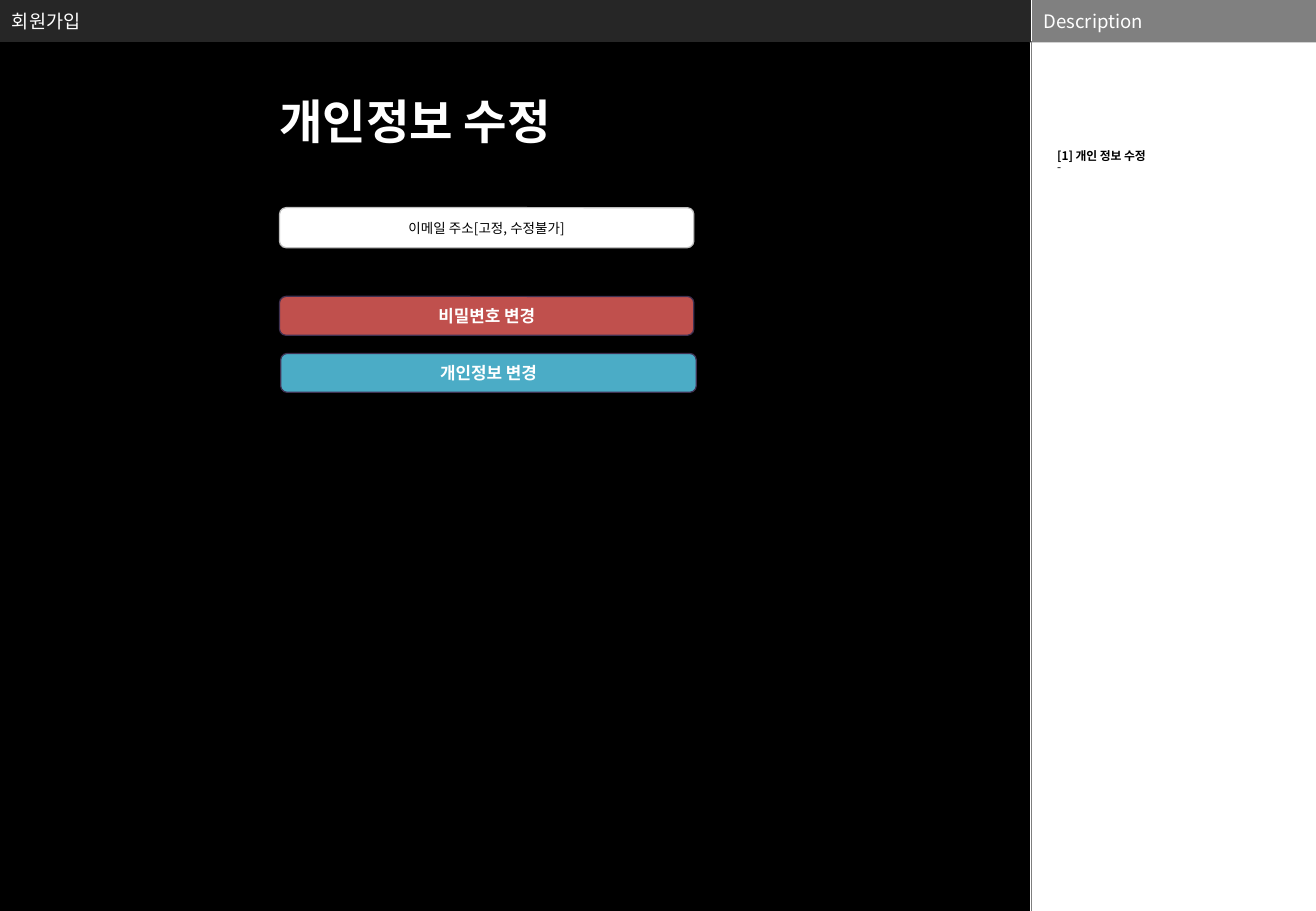
"""Builds the profile editing screen of a storyboard with its description column."""
from lxml.etree import SubElement
from pptx import Presentation
from pptx.dml.color import RGBColor
from pptx.enum.shapes import MSO_CONNECTOR, MSO_SHAPE
from pptx.enum.text import MSO_ANCHOR, PP_ALIGN
from pptx.oxml.ns import qn
from pptx.util import Inches, Pt

FONT = "Noto Sans CJK KR"
WHITE = RGBColor(0xFF, 0xFF, 0xFF)
BLACK = RGBColor(0x00, 0x00, 0x00)
CHARCOAL = RGBColor(0x26, 0x26, 0x26)
GRAY = RGBColor(0x80, 0x80, 0x80)
RULE_GRAY = RGBColor(0x7F, 0x7F, 0x7F)
FIELD_EDGE = RGBColor(0xBF, 0xBF, 0xBF)
PURPLE = RGBColor(0x40, 0x31, 0x52)
RED = RGBColor(0xC0, 0x50, 0x4D)
TEAL = RGBColor(0x4B, 0xAC, 0xC6)

WIDTH, HEIGHT = 10.83, 7.5
HEADER_H, SPLIT, SCREEN_W = 0.35, 8.49, 8.47
SIDE_W = WIDTH - SPLIT
TEXT_INSETS = (0.1, 0.05, 0.1, 0.05)

PANELS = [
    ((0, 0, SPLIT, HEADER_H), CHARCOAL, None),
    ((SPLIT, 0, SIDE_W, HEADER_H), GRAY, None),
    ((0, HEADER_H, SCREEN_W, HEIGHT - HEADER_H), BLACK, BLACK),
]
RULES = [(0, HEADER_H, WHITE), (0.34, HEIGHT, RULE_GRAY)]
HEADERS = [
    ((SPLIT, 0, SIDE_W, 0.34), "Description"),
    ((0, 0, 8.25, HEADER_H), "회원가입"),
]
TITLE = "개인정보 수정"
NOTES = [("[1] 개인 정보 수정", True), ("-", False)]
CONTROLS = [
    ((2.3, 1.71, 3.41, 0.33), "이메일 주소[고정, 수정불가]", WHITE, FIELD_EDGE, 8, BLACK, False),
    ((2.3, 2.44, 3.41, 0.32), "비밀변호 변경", RED, PURPLE, 10, WHITE, True),
    ((2.31, 2.91, 3.42, 0.32), "개인정보 변경", TEAL, PURPLE, 10, WHITE, True),
]


def add_panel(slide, kind, box, fill, edge):
    panel = slide.shapes.add_shape(kind, *map(Inches, box))
    panel.shadow.inherit = False
    panel.fill.solid()
    panel.fill.fore_color.rgb = fill
    if edge is None:
        panel.line.fill.background()
    else:
        panel.line.color.rgb = edge
        panel.line.width = Pt(0.75)
    return panel


def add_rule(slide, top, bottom, color):
    rule = slide.shapes.add_connector(
        MSO_CONNECTOR.STRAIGHT, *map(Inches, (SPLIT, top, SPLIT, bottom)))
    rule.line.color.rgb = color
    rule.line.width = Pt(0.25)
    SubElement(rule._element.spPr, qn("a:effectLst"))


def write(shape, lines, size, color, insets=TEXT_INSETS, anchor=MSO_ANCHOR.MIDDLE,
          align=PP_ALIGN.LEFT, wrap=True, spacing=None):
    frame = shape.text_frame
    frame.word_wrap = wrap
    frame.vertical_anchor = anchor
    (frame.margin_left, frame.margin_top,
     frame.margin_right, frame.margin_bottom) = map(Inches, insets)
    for index, (text, bold) in enumerate(lines):
        paragraph = frame.add_paragraph() if index else frame.paragraphs[0]
        paragraph.alignment = align
        if spacing:
            paragraph.line_spacing = spacing
        run = paragraph.add_run()
        run.text = text
        run.font.size = Pt(size)
        run.font.bold = bold
        run.font.color.rgb = color
        run.font.name = FONT
        SubElement(run.font._element, qn("a:ea"), typeface=FONT)


def add_text(slide, box, lines, size, color, **layout):
    write(slide.shapes.add_textbox(*map(Inches, box)), lines, size, color, **layout)


def main():
    deck = Presentation()
    deck.slide_width, deck.slide_height = Inches(WIDTH), Inches(HEIGHT)
    slide = deck.slides.add_slide(deck.slide_layouts[6])

    for box, fill, edge in PANELS:
        add_panel(slide, MSO_SHAPE.RECTANGLE, box, fill, edge)
    for top, bottom, color in RULES:
        add_rule(slide, top, bottom, color)
    for box, text in HEADERS:
        add_text(slide, box, [(text, False)], 11, WHITE)

    add_text(slide, (8.67, 1.03, 1.91, 5.81), NOTES, 7, BLACK,
             insets=(0.03, 0.24, 0.03, 0), anchor=MSO_ANCHOR.TOP, spacing=0.8)
    add_text(slide, (2.2, 0.76, 3.86, 0.57), [(TITLE, True)], 28, WHITE,
             anchor=MSO_ANCHOR.TOP, spacing=0.9)

    for box, text, fill, edge, size, color, bold in CONTROLS:
        control = add_panel(slide, MSO_SHAPE.ROUNDED_RECTANGLE, box, fill, edge)
        write(control, [(text, bold)], size, color, insets=(0.04,) * 4,
              align=PP_ALIGN.CENTER, wrap=False)

    deck.save("out.pptx")


if __name__ == "__main__":
    main()
